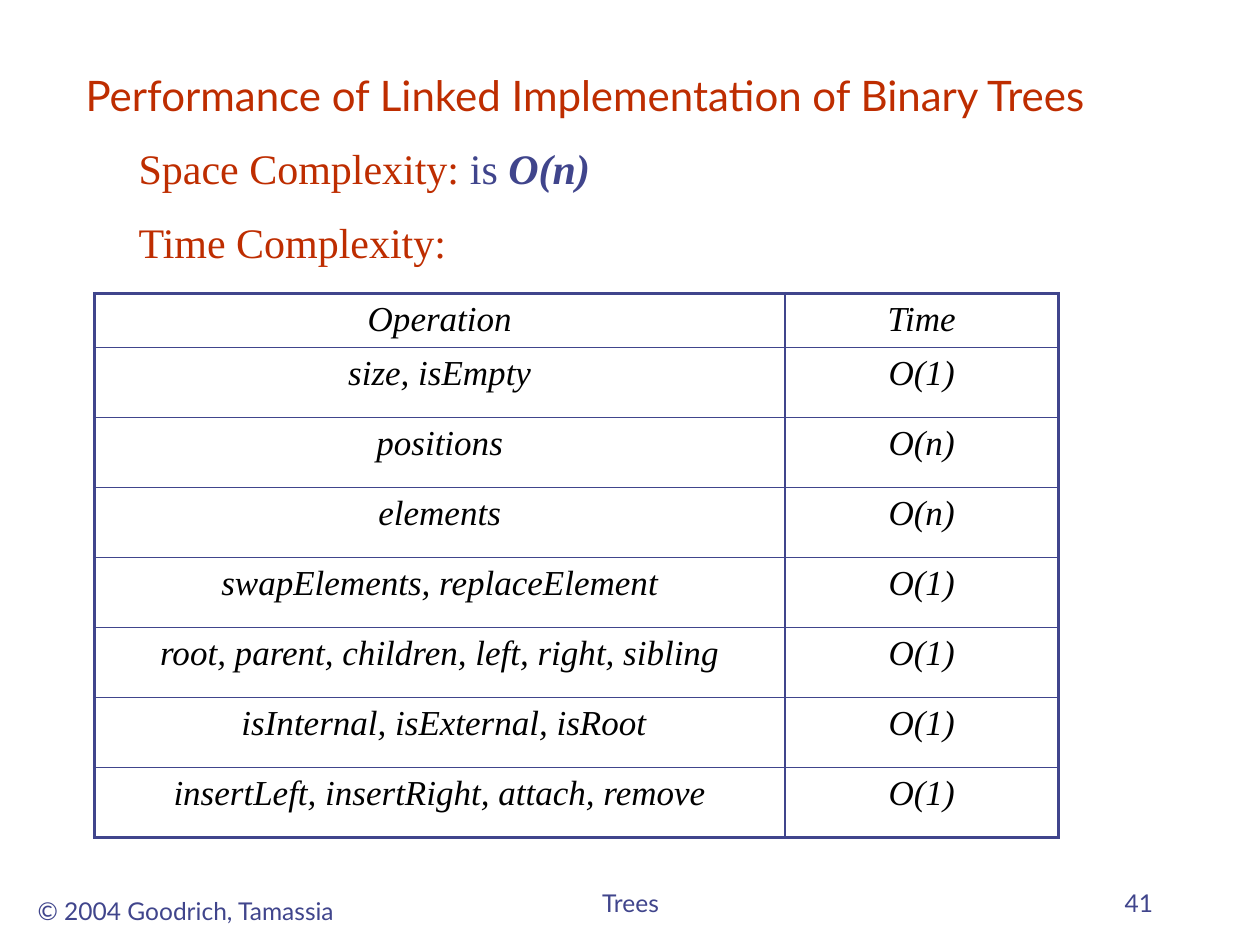
from lxml.etree import SubElement
from pptx import Presentation
from pptx.dml.color import RGBColor
from pptx.enum.text import MSO_ANCHOR, MSO_AUTO_SIZE, PP_ALIGN
from pptx.oxml.ns import qn
from pptx.util import Inches, Pt

HUES = {"blue": "40458C", "red": "BE2D00", "black": "000000"}
SANS, SERIF = "Lato", "Times New Roman"
ROWS = [
    ("Operation", "Time"),
    ("size, isEmpty", "O(1)"),
    ("positions", "O(n)"),
    ("elements", "O(n)"),
    ("swapElements, replaceElement", "O(1)"),
    ("root, parent, children, left, right, sibling", "O(1)"),
    (" isInternal, isExternal, isRoot", "O(1)"),
    ("insertLeft, insertRight, attach, remove", "O(1)"),
]


def place(shape, box):
    """Move a shape to a box of left, top, width and height in inches."""
    shape.left, shape.top, shape.width, shape.height = map(Inches, box)


def style(font, name, size, hue):
    """Set the face, size and colour of a font."""
    font.name, font.size = name, Pt(size)
    font.color.rgb = RGBColor.from_string(HUES[hue])


def add_title(slide, box, text):
    """Fill the title placeholder."""
    title = slide.shapes.title
    place(title, box)
    frame = title.text_frame
    frame.text = text
    frame.auto_size = MSO_AUTO_SIZE.NONE
    frame.vertical_anchor = MSO_ANCHOR.BOTTOM
    para = frame.paragraphs[0]
    para.alignment = PP_ALIGN.LEFT
    style(para.font, SANS, 24, "red")


def add_body(slide, box, lines):
    """Fill the body placeholder with lines of coloured runs."""
    body = slide.placeholders[1]
    place(body, box)
    frame = body.text_frame
    frame.auto_size = MSO_AUTO_SIZE.NONE
    for i, line in enumerate(lines):
        para = frame.add_paragraph() if i else frame.paragraphs[0]
        para.space_before = Pt(13.5 if i else 3)
        props = para._p.get_or_add_pPr()
        props.set("marL", "0")
        props.set("indent", "0")
        SubElement(props, qn("a:buNone"))
        for text, hue, strong in line:
            run = para.add_run()
            run.text = text
            style(run.font, SERIF, 24, hue)
            run.font.bold = run.font.italic = strong


def add_edge(cell, side, width):
    """Draw one border of a cell."""
    line = SubElement(cell._tc.get_or_add_tcPr(), qn("a:" + side), w=str(Pt(width)))
    fill = SubElement(line, qn("a:solidFill"))
    SubElement(fill, qn("a:srgbClr"), val=HUES["blue"])


def add_grid(slide, box, rows, widths, head):
    """Add the table with a thick frame and thin inner lines."""
    last, end = len(rows) - 1, len(widths) - 1
    table = slide.shapes.add_table(len(rows), len(widths), *map(Inches, box)).table
    table.first_row = table.horz_banding = False
    for col, width in zip(table.columns, widths):
        col.width = Inches(width)
    for r, row in enumerate(rows):
        table.rows[r].height = Inches((box[3] - head) / last if r else head)
        for c, text in enumerate(row):
            cell = table.cell(r, c)
            cell.text = text
            para = cell.text_frame.paragraphs[0]
            para.alignment = PP_ALIGN.CENTER
            style(para.font, SERIF, 20, "black")
            para.font.italic = True
            outer = {"lnL": c == 0, "lnR": c == end, "lnT": r == 0, "lnB": r == last}
            for side, thick in outer.items():
                add_edge(cell, side, 2.25 if thick else 1)
            cell.fill.background()


def add_foot(slide, box, text, align, anchor, wrap=True):
    """Add one footer text."""
    frame = slide.shapes.add_textbox(*map(Inches, box)).text_frame
    frame.word_wrap = wrap
    frame.vertical_anchor = anchor
    frame.text = text
    para = frame.paragraphs[0]
    para.alignment = align
    style(para.font, SANS, 14, "blue")


def build():
    """Build and save the slide."""
    deck = Presentation()
    deck.slide_width, deck.slide_height = Inches(10), Inches(7.5)
    slide = deck.slides.add_slide(deck.slide_layouts[1])
    add_title(slide, (0.58, 0.33, 8.5, 0.67),
              "Performance of Linked Implementation of Binary Trees")
    add_body(slide, (1, 1.08, 7.17, 1.11), [
        [("Space Complexity: ", "red", False), ("is ", "blue", False),
         ("O(n)", "blue", True)],
        [("Time Complexity:", "red", False)],
    ])
    add_grid(slide, (0.75, 2.33, 7.65, 4.32), ROWS, (5.48, 2.17), 0.43)
    add_foot(slide, (0.17, 7.06, 2.61, 0.33), "© 2004 Goodrich, Tamassia",
             PP_ALIGN.CENTER, MSO_ANCHOR.TOP, False)
    add_foot(slide, (3.42, 6.83, 3.17, 0.5), "Trees",
             PP_ALIGN.CENTER, MSO_ANCHOR.BOTTOM)
    add_foot(slide, (7.17, 6.83, 2.08, 0.5), "41",
             PP_ALIGN.RIGHT, MSO_ANCHOR.BOTTOM)
    deck.save("out.pptx")


build()
